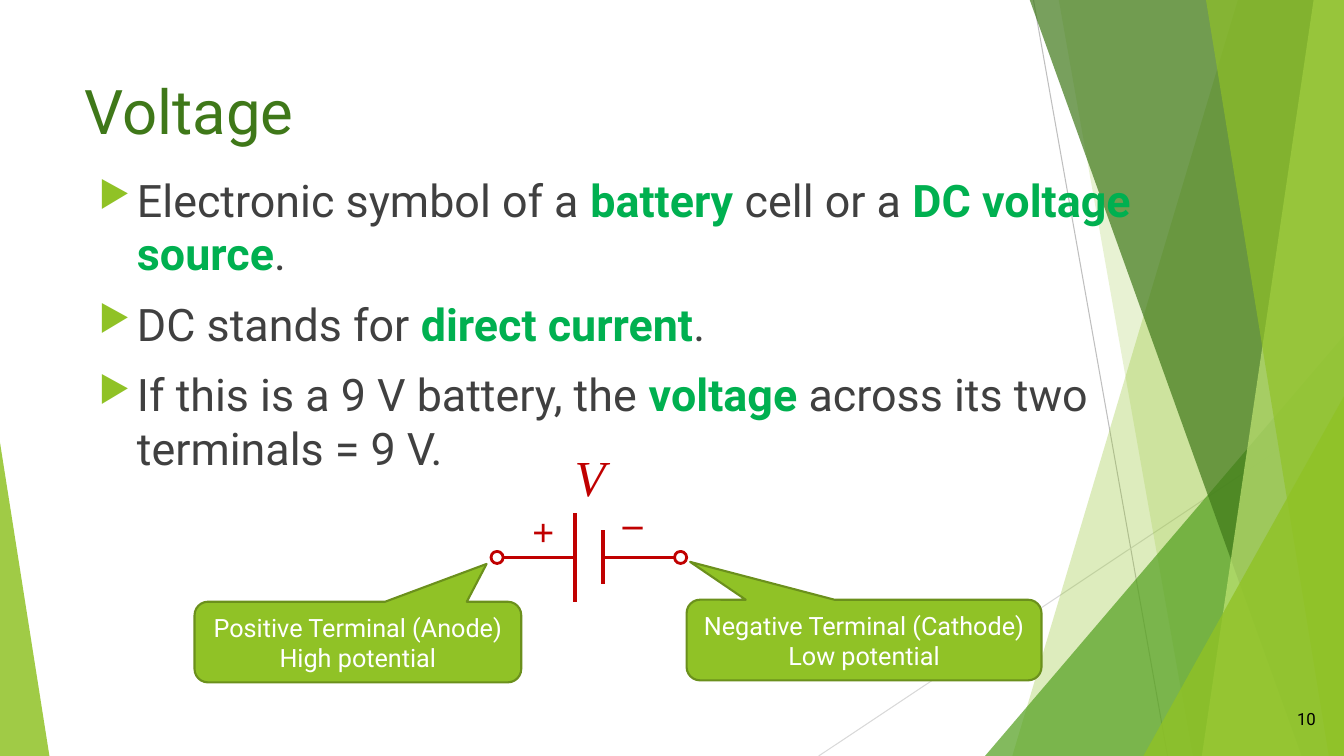
from lxml.etree import SubElement
from pptx import Presentation
from pptx.dml.color import RGBColor
from pptx.enum.shapes import MSO_CONNECTOR, MSO_SHAPE
from pptx.enum.text import MSO_ANCHOR, MSO_AUTO_SIZE, PP_ALIGN
from pptx.oxml.ns import qn
from pptx.util import Pt

PX = 9144  # 100 px to the inch
WIDE, HIGH = 1333, 750
SANS, SERIF = "Roboto", "Times New Roman"
HEX = {
    "lime": "90C226", "leaf": "54A021", "dark": "3F7819", "pale": "C0E474",
    "edge": "6B901C", "text": "404040", "key": "00B050", "red": "C00000",
    "gray": "BFBFBF", "mist": "D9D9D9", "black": "000000", "white": "FFFFFF",
}

TITLE = "Voltage"
NUMBER = "10"
# Text between asterisks is a key term
POINTS = [
    "Electronic symbol of a *battery* cell or a *DC voltage source*.",
    "DC stands for *direct current*.",
    "If this is a 9 V battery, the *voltage* across its two terminals = 9 V.",
]
# Start, end, colour, weight
RAYS = [
    ((1025, 0), (1158, HIGH), "gray", 0.75),
    ((WIDE, 403), (812, HIGH), "mist", 0.75),
]
# Band: top left x, bottom left x. Wedge: box and tip. Then colour, opacity
DECOR = [
    ("band", (1228, 1004), "lime", 30),
    ("band", (1050, 1183), "lime", 20),
    ("wedge", (977, 333, 356, 417, 1), "leaf", 72),
    ("band", (1021, 1291), "dark", 70),
    ("band", (1303, 1192), "pale", 70),
    ("band", (1196, 1318), "lime", 65),
    ("wedge", (1134, 393, 199, 357, 1), "lime", 80),
    ("wedge", (0, 439, 49, 311, 0), "lime", 85),
]
WIRES = [
    ((570, 597), (570, 509), "red", 3),
    ((598, 579), (598, 526), "red", 3),
    ((569, 553), (498, 553), "red", 2),
    ((599, 553), (670, 553), "red", 2),
]
ENDS = [(487, 547, 12, 12), (669, 547, 12, 12)]
SIGNS = [
    ("V", (560, 438, 51, 71), {"size": Pt(36), "italic": True}),
    ("+", (518, 498, 43, 57), {"size": Pt(28), "bold": True}),
    ("_", (608, 477, 40, 57), {"size": Pt(28), "bold": True}),
]
# Text, box, tail position
NOTES = [
    ("Positive Terminal (Anode) High potential", (193, 597, 324, 80), (0.394, -0.969)),
    ("Negative Terminal (Cathode) Low potential", (681, 595, 352, 80), (-0.49, -0.969)),
]


def scale(nums):
    return [n * PX for n in nums]


def tint(hue):
    return RGBColor.from_string(HEX[hue])


def style(font, hue, **looks):
    font.color.rgb = tint(hue)
    for key, val in looks.items():
        setattr(font, key, val)


def paint(shape, fill=None, line=None, width=1, alpha=100):
    shape.shadow.inherit = False
    if fill:
        shape.fill.solid()
        shape.fill.fore_color.rgb = tint(fill)
        if alpha < 100:
            clr = shape._element.spPr.find(".//" + qn("a:srgbClr"))
            SubElement(clr, qn("a:alpha"), val=str(alpha * 1000))
    else:
        shape.fill.background()
    if line:
        shape.line.color.rgb = tint(line)
        shape.line.width = Pt(width)
    else:
        shape.line.fill.background()


def stroke(shapes, start, end, hue, width):
    line = shapes.add_connector(MSO_CONNECTOR.STRAIGHT, *scale(start + end))
    line.line.color.rgb = tint(hue)
    line.line.width = Pt(width)
    SubElement(line._element.spPr, qn("a:effectLst"))


def write(shapes, text, box, hue, align=PP_ALIGN.LEFT, wrap=True, **looks):
    frame = shapes.add_textbox(*scale(box)).text_frame
    frame.word_wrap = wrap
    para = frame.paragraphs[0]
    para.alignment = align
    run = para.add_run()
    run.text = text
    style(run.font, hue, **looks)
    return frame


def bullet(para):
    props = para._p.get_or_add_pPr()
    props.set("marL", str(38 * PX))
    props.set("indent", str(-38 * PX))
    clr = SubElement(props, qn("a:buClr"))
    SubElement(clr, qn("a:srgbClr"), val=HEX["lime"])
    SubElement(props, qn("a:buSzPct"), val="80000")
    SubElement(props, qn("a:buChar"), char="▶")


def decorate(shapes):
    for ray in RAYS:
        stroke(shapes, *ray)
    for kind, dims, hue, alpha in DECOR:
        if kind == "band":
            top, foot = dims
            pen = shapes.build_freeform(top, -1, scale=PX)
            pen.add_line_segments([(WIDE, -1), (WIDE, HIGH), (foot, HIGH)], close=True)
            shape = pen.convert_to_shape()
        else:
            *box, tip = dims
            shape = shapes.add_shape(MSO_SHAPE.ISOSCELES_TRIANGLE, *scale(box))
            shape.adjustments[0] = tip
        paint(shape, hue, alpha=alpha)


def head(title):
    title._element.getparent().append(title._element)  # bring to front
    title.left, title.top, title.width, title.height = scale((74, 67, 940, 144))
    frame = title.text_frame
    frame.text = TITLE
    frame.auto_size = MSO_AUTO_SIZE.NONE
    frame.vertical_anchor = MSO_ANCHOR.TOP
    para = frame.paragraphs[0]
    para.alignment = PP_ALIGN.LEFT
    style(para.runs[0].font, "dark", name=SANS, size=Pt(44))


def list_points(shapes):
    frame = shapes.add_textbox(*scale((88, 166, 1089, 486))).text_frame
    frame.word_wrap = True
    for i, point in enumerate(POINTS):
        para = frame.add_paragraph() if i else frame.paragraphs[0]
        bullet(para)
        para.space_before = Pt(12 if i else 0)
        for j, part in enumerate(point.split("*")):
            key = j % 2 == 1
            run = para.add_run()
            run.text = part
            style(run.font, "key" if key else "text", name=SANS, size=Pt(32), bold=key)


def draw_cell(shapes):
    for text, box, looks in SIGNS:
        write(shapes, text, box, "red", wrap=False, name=SERIF, **looks)
    for wire in WIRES:
        stroke(shapes, *wire)
    for box in ENDS:
        paint(shapes.add_shape(MSO_SHAPE.OVAL, *scale(box)), line="red", width=2)


def call_out(shapes):
    for text, box, tail in NOTES:
        note = shapes.add_shape(MSO_SHAPE.ROUNDED_RECTANGULAR_CALLOUT, *scale(box))
        note.adjustments[0], note.adjustments[1] = tail
        paint(note, "lime", "edge", 1.5)
        frame = note.text_frame
        frame.text = text
        frame.word_wrap = True
        frame.vertical_anchor = MSO_ANCHOR.MIDDLE
        para = frame.paragraphs[0]
        para.alignment = PP_ALIGN.CENTER
        style(para.runs[0].font, "white", name=SANS, size=Pt(18))


def main():
    deck = Presentation()
    deck.slide_width, deck.slide_height = scale((WIDE, HIGH))
    slide = deck.slides.add_slide(deck.slide_layouts[5])
    shapes = slide.shapes
    decorate(shapes)
    head(shapes.title)
    list_points(shapes)
    frame = write(shapes, NUMBER, (1240, 693, 75, 40), "black", PP_ALIGN.RIGHT,
                  name=SANS, size=Pt(12))
    frame.vertical_anchor = MSO_ANCHOR.MIDDLE
    draw_cell(shapes)
    call_out(shapes)
    deck.save("out.pptx")


if __name__ == "__main__":
    main()
